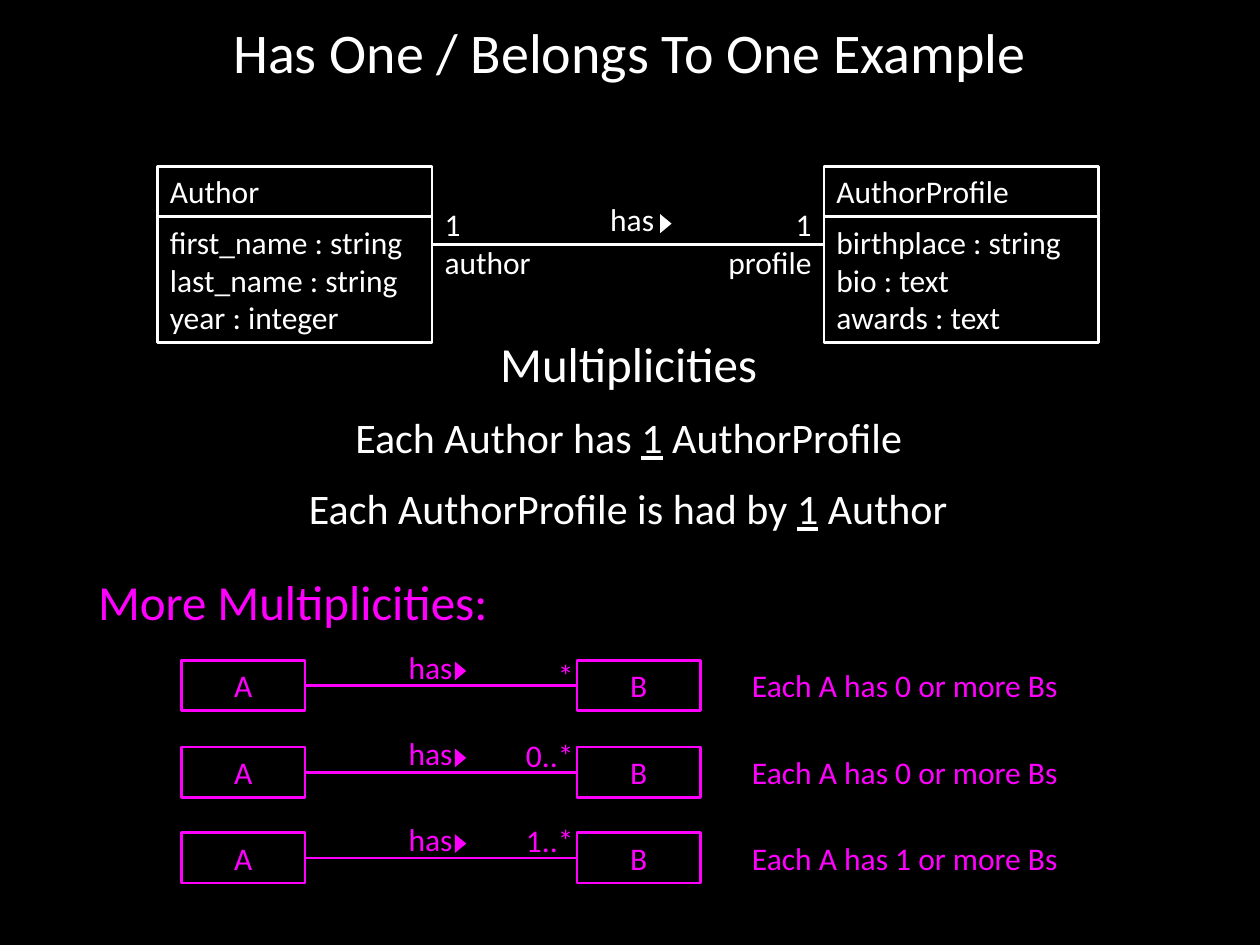
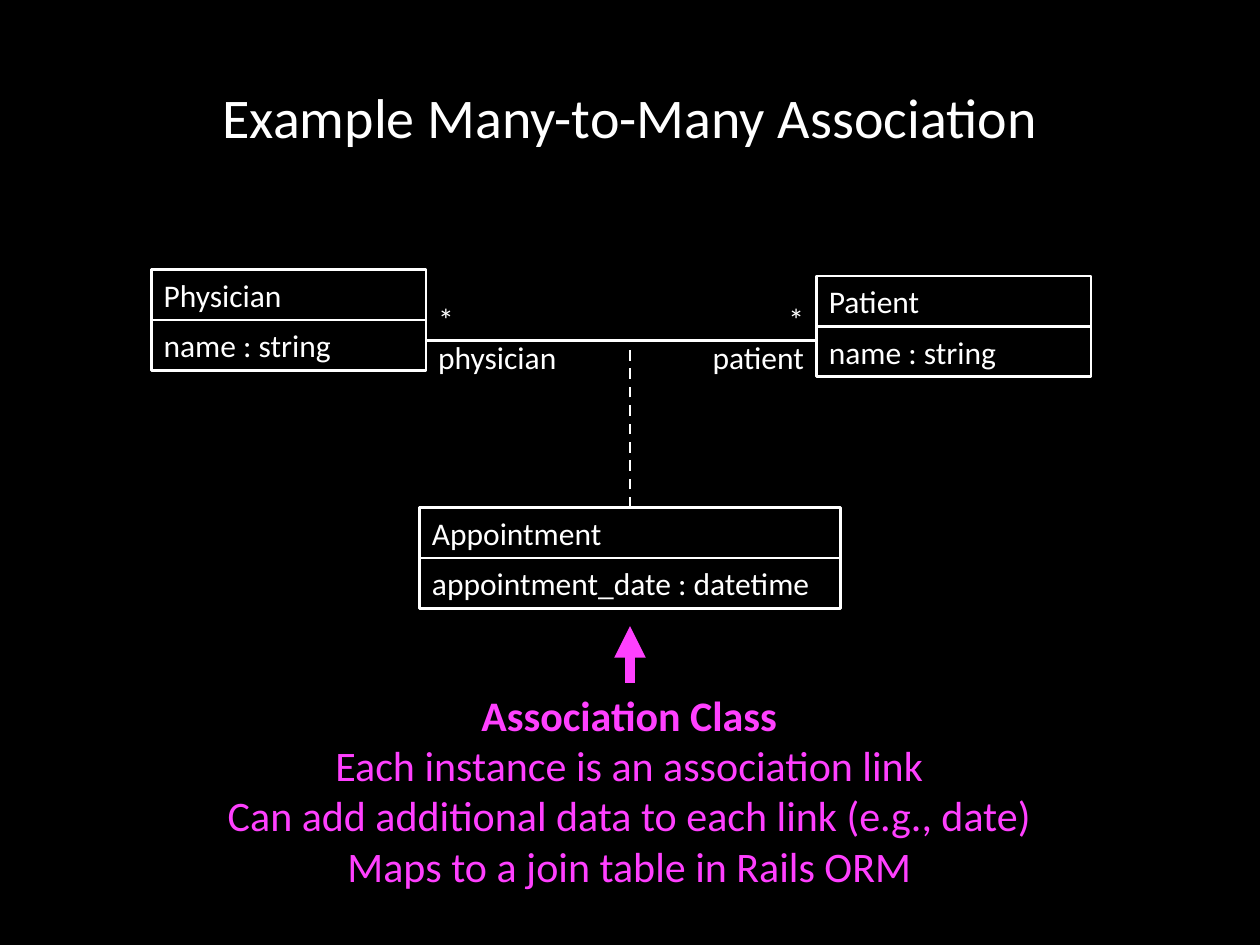
from lxml.etree import SubElement
from pptx import Presentation
from pptx.dml.color import RGBColor
from pptx.enum.dml import MSO_LINE
from pptx.enum.shapes import MSO_CONNECTOR, MSO_SHAPE
from pptx.enum.text import MSO_ANCHOR, MSO_AUTO_SIZE, PP_ALIGN
from pptx.oxml.ns import qn
from pptx.util import Inches, Pt

HUES = {"back": "000000", "white": "FFFFFF", "pink": "FF00FF", "rose": "FF40FF"}
INK = {name: RGBColor.from_string(code) for name, code in HUES.items()}
LEFT, MID, RIGHT = PP_ALIGN.LEFT, PP_ALIGN.CENTER, PP_ALIGN.RIGHT
FONT = {"name": "Calibri"}
ROW = 0.4  # height of a one-line box


def put(slide, spot, lines, hue="white", size=18, align=LEFT, framed=False):
    """Place text, framed or bare; parts between bars are underlined."""
    spot = [Inches(n) for n in spot]
    if framed:
        shape = slide.shapes.add_shape(MSO_SHAPE.RECTANGLE, *spot)
        shape.shadow.inherit = False
        shape.fill.background()
        shape.line.color.rgb = INK[hue]
        shape.line.width = Pt(1.5)
    else:
        shape = slide.shapes.add_textbox(*spot)
    frame = shape.text_frame
    look = {"word_wrap": framed, "auto_size": MSO_AUTO_SIZE.SHAPE_TO_FIT_TEXT,
            "vertical_anchor": MSO_ANCHOR.TOP}
    for key, value in look.items():
        setattr(frame, key, value)
    for i, line in enumerate(lines):
        para = frame.paragraphs[0] if i == 0 else frame.add_paragraph()
        para.alignment = align
        for j, part in enumerate(line.split("|")):
            run = para.add_run()
            run.text = part
            run.font.color.rgb = INK[hue]
            for key, value in {**FONT, "size": Pt(size), "underline": j % 2 == 1}.items():
                setattr(run.font, key, value)
    return shape


def link(slide, ends, hue="white", width=1.5, dash=None, head=False):
    """Draw a straight line between two points, with an optional arrowhead."""
    wire = slide.shapes.add_connector(MSO_CONNECTOR.STRAIGHT, *[Inches(n) for n in ends])
    wire.line.color.rgb = INK[hue]
    for key, value in {"width": Pt(width), "dash_style": dash}.items():
        setattr(wire.line, key, value)
    props = wire._element.spPr
    if head:
        SubElement(props.find(qn("a:ln")), qn("a:tailEnd"), type="triangle")
    SubElement(props, qn("a:effectLst"))


deck = Presentation()
deck.slide_width, deck.slide_height = Inches(10), Inches(7.5)
paint = deck.slide_master.background.fill
paint.solid()
paint.fore_color.rgb = INK["back"]

# Slides and titles
pages = []
for text, top, height in [("Has One / Belongs To One Example", 0, 0.81),
                          ("Example Many-to-Many Association", 0.3, 1.25)]:
    page = deck.slides.add_slide(deck.slide_layouts[5])
    title = page.shapes.title
    spot = {"left": 0.5, "top": top, "width": 9, "height": height}
    for key, value in spot.items():
        setattr(title, key, Inches(value))
    title.text_frame.vertical_anchor = MSO_ANCHOR.MIDDLE
    para = title.text_frame.paragraphs[0]
    para.text, para.alignment = text, MID
    para.font.color.rgb = INK["white"]
    for key, value in {**FONT, "size": Pt(32)}.items():
        setattr(para.font, key, value)
    pages.append(page)
one, many = pages

# Class boxes: name above, fields below
for page, left, top, width, name, fields in [
    (one, 1.25, 1.32, 2.18, "Author",
     ["first_name : string", "last_name : string", "year : integer"]),
    (one, 6.54, 1.32, 2.18, "AuthorProfile",
     ["birthplace : string", "bio : text", "awards : text"]),
    (many, 1.2, 2.14, 2.18, "Physician", ["name : string"]),
    (many, 6.48, 2.19, 2.18, "Patient", ["name : string"]),
    (many, 3.33, 4.03, 3.34, "Appointment", ["appointment_date : datetime"]),
]:
    height = 0.1 + 0.3 * len(fields)
    put(page, (left, top + ROW, width, height), fields, framed=True)
    put(page, (left, top, width, ROW), [name], framed=True)

# Associations with the count and role at each end
for page, start, end, level, top, near, far in [
    (one, 3.43, 6.54, 1.94, 1.58, (0.9, "1", "author"), (0.9, "1", "profile")),
    (many, 3.38, 6.48, 2.7, 2.33, (1.2, "*", "physician"), (1, "*", "patient")),
]:
    link(page, (start, level, end, level))
    for left, align, (width, *role) in [(start, LEFT, near), (end - far[0], RIGHT, far)]:
        put(page, (left, top, width, 0.71), role, align=align)

# Multiplicities in words
for left, top, width, height, size, text in [
    (3.86, 2.6, 2.26, 0.57, 28, "Multiplicities"),
    (2.69, 3.22, 4.6, 0.51, 24, "Each Author has |1| AuthorProfile"),
    (2.32, 3.78, 5.33, 0.5, 24, "Each AuthorProfile is had by |1| Author"),
]:
    put(one, (left, top, width, height), [text], size=size, align=MID)

# More multiplicities, one row each
put(one, (0.68, 4.49, 3.33, 0.57), ["More Multiplicities:"], "pink", 28)
verbs = [(4.74, 1.54, 5.21, "white")]
for top, rise, count, least in [(5.24, 0.08, "*", 0), (5.93, 0.14, "0..*", 0),
                                (6.61, 0.14, "1..*", 1)]:
    for left, name in [(1.44, "A"), (4.58, "B")]:
        put(one, (left, top, 0.98, ROW), [name], "pink", align=MID, framed=True)
    link(one, (2.42, top + 0.2, 4.58, top + 0.2), "pink")
    put(one, (4.07, top - rise, 0.58, ROW), [count], "pink", align=RIGHT)
    put(one, (5.87, top, 2.66, ROW), [f"Each A has {least} or more Bs"], "pink")
    verbs.append((3.14, top - 0.15, 3.58, "pink"))

# Verbs with their reading direction
for left, top, tip, hue in verbs:
    put(one, (left, top, 0.55, ROW), ["has"], hue, align=RIGHT)
    mark = one.shapes.add_shape(MSO_SHAPE.ISOSCELES_TRIANGLE, Inches(tip),
                                Inches(top + 0.19), Inches(0.15), Inches(0.09))
    mark.rotation = 90
    mark.shadow.inherit = False
    mark.fill.solid()
    mark.fill.fore_color.rgb = INK[hue]
    mark.line.fill.background()

# Association class and its note
link(many, (5, 4.03, 5, 2.7), dash=MSO_LINE.DASH)
note = put(many, (1.68, 5.42, 6.63, 1.72),
           ["Association Class", "Each instance is an association link",
            "Can add additional data to each link (e.g., date)",
            "Maps to a join table in Rails ORM"], "rose", 24, MID)
note.text_frame.paragraphs[0].runs[0].font.bold = True
link(many, (5, 5.42, 5, 4.97), "rose", 6, head=True)

deck.save("out.pptx")
